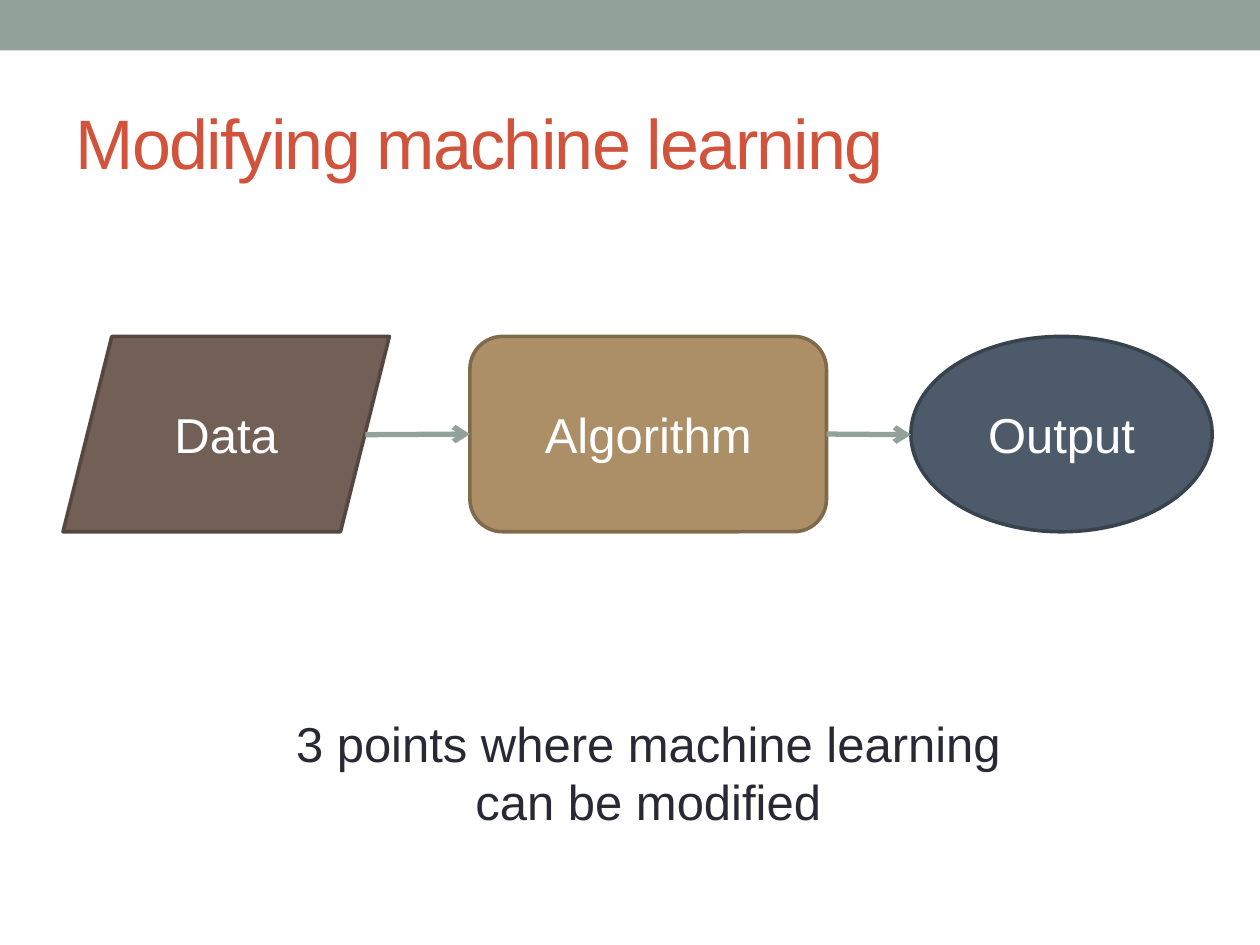
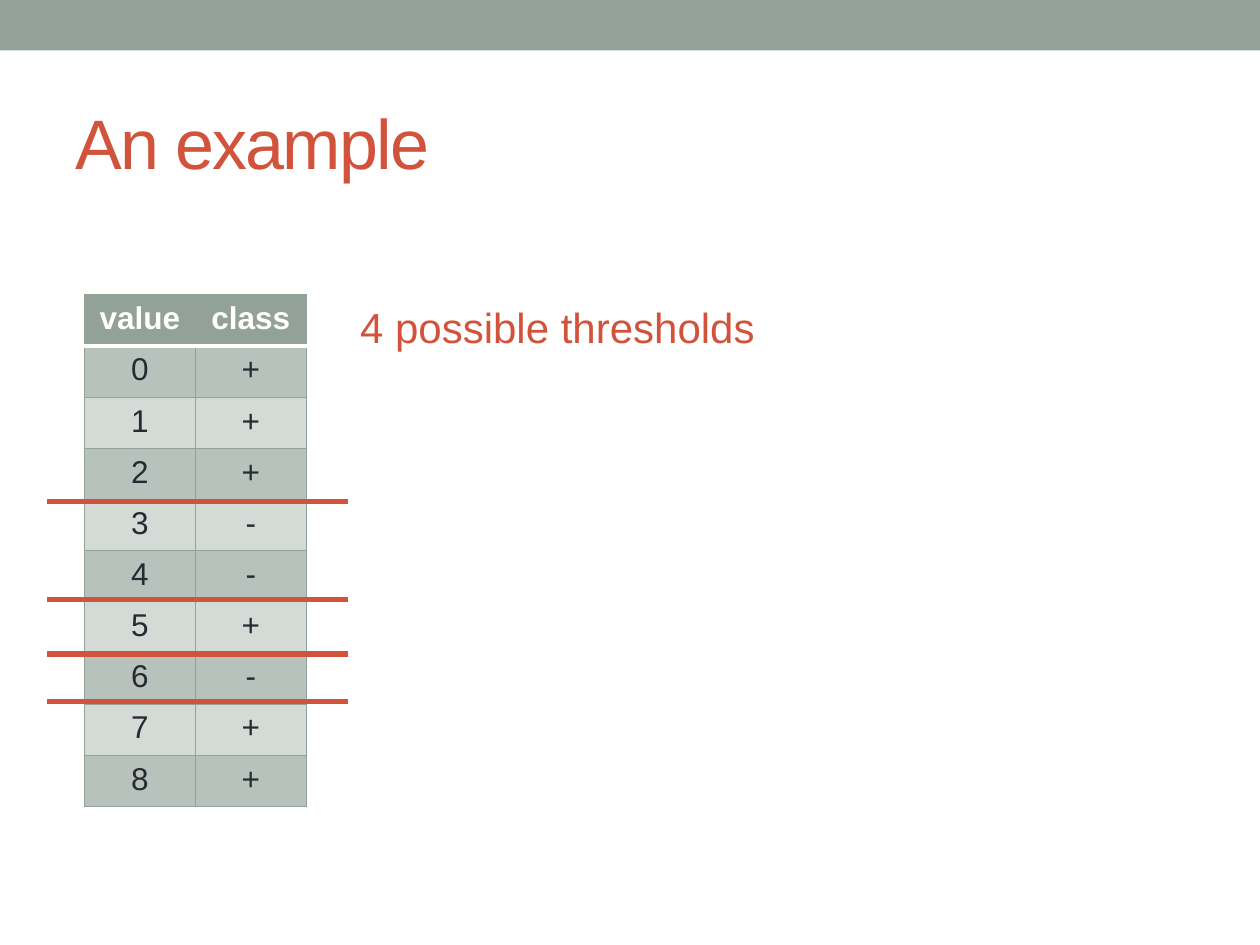
"""Build two slides on modifying machine learning and choosing thresholds."""
from lxml import etree
from pptx import Presentation
from pptx import util as u
from pptx.dml import color
from pptx.enum import shapes, text
from pptx.oxml.ns import qn

COLORS = {
    "sage": "93A299", "red": "D2533C", "ink": "292934", "white": "FFFFFF",
    "brown": "726056", "brown_edge": "544740", "tan": "AD8F67", "tan_edge": "806A4C",
    "slate": "4C5A6A", "slate_edge": "38434E", "row_dark": "B8C2BC", "row_light": "D4DAD6",
}
RGB = {name: color.RGBColor.from_string(value) for name, value in COLORS.items()}
FONT = "Arial"
CENTER, LEFT = text.PP_ALIGN.CENTER, text.PP_ALIGN.LEFT


def format_text(text_frame, size, color_name, alignment=CENTER, bold=False):
    for paragraph in text_frame.paragraphs:
        paragraph.alignment = alignment
        for run in paragraph.runs:
            run.font.name = FONT
            run.font.size = u.Pt(size)
            run.font.bold = bold
            run.font.color.rgb = RGB[color_name]


def add_line(slide, start_x, end_x, y, color_name):
    line = slide.shapes.add_connector(
        shapes.MSO_CONNECTOR.STRAIGHT,
        u.Inches(start_x), u.Inches(y), u.Inches(end_x), u.Inches(y))
    line.line.color.rgb = RGB[color_name]
    line.line.width = u.Pt(3)
    etree.SubElement(line.element.spPr, qn("a:effectLst"))
    return line


presentation = Presentation()
presentation.slide_width = u.Inches(10)
presentation.slide_height = u.Inches(7.5)

slides = []
for heading in ("Modifying machine learning", "An example"):
    slide = presentation.slides.add_slide(presentation.slide_layouts[5])
    band = slide.shapes.add_shape(
        shapes.MSO_SHAPE.RECTANGLE, 0, 0, presentation.slide_width, u.Inches(0.4))
    band.shadow.inherit = False
    band.fill.solid()
    band.fill.fore_color.rgb = RGB["sage"]
    band.line.fill.background()
    title = slide.shapes.title
    title.left, title.top = u.Inches(0.5), u.Inches(0.58)
    title.width, title.height = u.Inches(9), u.Inches(1.08)
    title.text_frame.text = heading
    title.text_frame.auto_size = text.MSO_AUTO_SIZE.NONE
    title.text_frame.vertical_anchor = text.MSO_ANCHOR.MIDDLE
    format_text(title.text_frame, 40, "red", LEFT)
    title.text_frame.paragraphs[0].runs[0].font._element.set("spc", "-100")
    slides.append(slide)
pipeline_slide, example_slide = slides

STAGES = [
    ("Data", shapes.MSO_SHAPE.PARALLELOGRAM, 0.5, 2.59, "brown"),
    ("Algorithm", shapes.MSO_SHAPE.ROUNDED_RECTANGLE, 3.73, 2.83, "tan"),
    ("Output", shapes.MSO_SHAPE.OVAL, 7.23, 2.39, "slate"),
]
stage_shapes = {}
for label, kind, left, width, color_name in STAGES:
    shape = pipeline_slide.shapes.add_shape(
        kind, u.Inches(left), u.Inches(2.67), u.Inches(width), u.Inches(1.55))
    shape.shadow.inherit = False
    shape.fill.solid()
    shape.fill.fore_color.rgb = RGB[color_name]
    shape.line.color.rgb = RGB[color_name + "_edge"]
    shape.line.width = u.Pt(2.08)
    shape.text_frame.text = label
    shape.text_frame.vertical_anchor = text.MSO_ANCHOR.MIDDLE
    format_text(shape.text_frame, 28, "white")
    stage_shapes[label] = shape

data_arrow = add_line(pipeline_slide, 2.9, 3.73, 3.45, "sage")
data_arrow.end_connect(stage_shapes["Algorithm"], 1)
output_arrow = add_line(pipeline_slide, 6.56, 7.23, 3.45, "sage")
output_arrow.begin_connect(stage_shapes["Algorithm"], 3)
for arrow in (data_arrow, output_arrow):
    etree.SubElement(arrow.get_or_add_ln(), qn("a:tailEnd"), type="arrow")

summary = pipeline_slide.shapes.add_textbox(
    u.Inches(0.63), u.Inches(5.61), u.Inches(9.03), u.Inches(1.04))
summary.text_frame.word_wrap = True
summary.text_frame.auto_size = text.MSO_AUTO_SIZE.SHAPE_TO_FIT_TEXT
summary.text_frame.text = "3 points where machine learning\ncan be modified"
format_text(summary.text_frame, 28, "ink")

rows = [("value", "class")] + [(str(value), sign) for value, sign in enumerate("+++--+-++")]
table = example_slide.shapes.add_table(
    len(rows), 2, u.Inches(0.67), u.Inches(2.34), u.Inches(1.76), u.Inches(4.06)).table
for row_index, row in enumerate(rows):
    table.rows[row_index].height = u.Inches(4.06 / len(rows))
    is_header = row_index == 0
    if is_header:
        fill_name = "sage"
    else:
        fill_name = "row_dark" if row_index % 2 else "row_light"
    for column_index, value in enumerate(row):
        cell = table.cell(row_index, column_index)
        cell.text_frame.text = value
        format_text(cell.text_frame, 18, "white" if is_header else "ink", bold=is_header)
        properties = cell._tc.get_or_add_tcPr()
        for side in ("lnL", "lnR", "lnT", "lnB"):
            under_header = (row_index, side) in ((0, "lnB"), (1, "lnT"))
            border = etree.SubElement(
                properties, qn("a:" + side), w=str(int(u.Pt(2.08 if under_header else 0.75))))
            border_fill = etree.SubElement(border, qn("a:solidFill"))
            etree.SubElement(border_fill, qn("a:srgbClr"),
                             val=COLORS["white" if under_header else "sage"])
        cell.fill.solid()
        cell.fill.fore_color.rgb = RGB[fill_name]

for threshold_y in (3.98, 4.76, 5.19, 5.57):
    add_line(example_slide, 2.76, 0.37, threshold_y, "red")

threshold_note = example_slide.shapes.add_textbox(
    u.Inches(2.76), u.Inches(2.34), u.Inches(3.36), u.Inches(0.5))
threshold_note.text_frame.word_wrap = False
threshold_note.text_frame.auto_size = text.MSO_AUTO_SIZE.SHAPE_TO_FIT_TEXT
threshold_note.text_frame.text = "4 possible thresholds"
format_text(threshold_note.text_frame, 24, "red", LEFT)

presentation.save("out.pptx")
